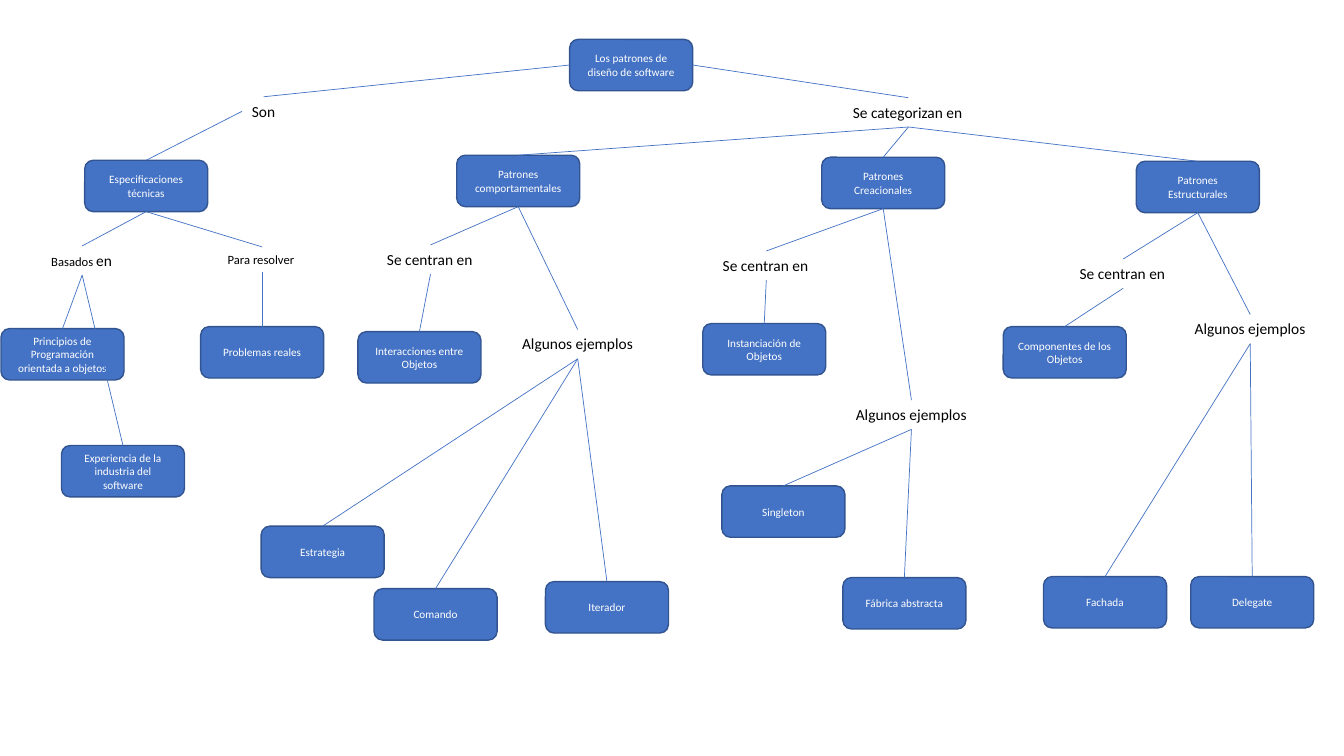
from lxml import etree
from pptx import Presentation
from pptx.dml.color import RGBColor
from pptx.enum.shapes import MSO_CONNECTOR, MSO_SHAPE
from pptx.enum.text import MSO_ANCHOR, MSO_AUTO_SIZE, PP_ALIGN
from pptx.oxml.ns import qn
from pptx.util import Inches, Pt

ROUNDED = MSO_SHAPE.ROUNDED_RECTANGLE
STRAIGHT = MSO_CONNECTOR.STRAIGHT
MIDDLE = MSO_ANCHOR.MIDDLE
CENTER = PP_ALIGN.CENTER
GROW = MSO_AUTO_SIZE.SHAPE_TO_FIT_TEXT
TOP, LEFT, BOTTOM, RIGHT = range(4)

FONT = "Calibri"
COLORS = {"concept": "4472C4", "border": "325491", "link": "4472C4",
          "concept_text": "FFFFFF", "phrase_text": "000000"}
CONCEPT_WIDTH, CONCEPT_HEIGHT = 1.22, 0.51
FOCUS_WIDTH, EXAMPLES_WIDTH = 1.06, 1.3


def color(name):
    """Return the palette colour with this name."""
    return RGBColor.from_string(COLORS[name])


def style_run(run, size, color_name):
    """Set the font, size and colour of a run."""
    run.font.name = FONT
    run.font.size = Pt(size)
    run.font.color.rgb = color(color_name)


def add_concept(slide, left, top, text):
    """Add a rounded concept box."""
    concept = slide.shapes.add_shape(ROUNDED, Inches(left), Inches(top),
                                     Inches(CONCEPT_WIDTH), Inches(CONCEPT_HEIGHT))
    concept.shadow.inherit = False
    concept.fill.solid()
    concept.fill.fore_color.rgb = color("concept")
    concept.line.color.rgb = color("border")
    concept.line.width = Pt(1)
    frame = concept.text_frame
    frame.text = text
    frame.word_wrap = True
    frame.vertical_anchor = MIDDLE
    frame.paragraphs[0].alignment = CENTER
    style_run(frame.paragraphs[0].runs[0], 8, "concept_text")
    return concept


def add_phrase(slide, left, top, width, *parts, height=0.29):
    """Add a linking phrase made of (text, size) parts."""
    phrase = slide.shapes.add_textbox(Inches(left), Inches(top), Inches(width), Inches(height))
    frame = phrase.text_frame
    frame.word_wrap = False
    frame.auto_size = GROW
    for text, size in parts:
        run = frame.paragraphs[0].add_run()
        run.text = text
        style_run(run, size, "phrase_text")
    return phrase


def link(slide, start, end, start_side=BOTTOM, end_side=TOP):
    """Join two parts of the map with a thin line."""
    line = slide.shapes.add_connector(STRAIGHT, 0, 0, 0, 0)
    line.begin_connect(start, start_side)
    line.end_connect(end, end_side)
    line.line.color.rgb = color("link")
    line.line.width = Pt(0.5)
    etree.SubElement(line._element.spPr, qn("a:effectLst"))


def draw_specifications(slide, left, top):
    """Draw the specifications branch from its head position and return the head."""
    head = add_concept(slide, left, top, "Especificaciones técnicas")
    based_on = add_phrase(slide, left - 0.43, top + 0.85, 0.81, ("Basados ", 9), ("en", 11))
    to_solve = add_phrase(slide, left + 1.32, top + 0.86, 0.88, ("Para resolver", 9), height=0.25)
    principles = add_concept(slide, left - 0.83, top + 1.67,
                             "Principios de Programación orientada a objetos")
    experience = add_concept(slide, left - 0.23, top + 2.83,
                             "Experiencia de la industria del software")
    problems = add_concept(slide, left + 1.15, top + 1.65, "Problemas reales")
    for start, end in ((head, based_on), (head, to_solve), (based_on, principles),
                       (based_on, experience), (to_solve, problems)):
        link(slide, start, end)
    return head


def draw_pattern(slide, left, top, title, focus_at, focus, examples_at, examples):
    """Draw a pattern branch, with offsets from its head, and return the head."""
    def place(offset):
        return left + offset[0], top + offset[1]

    head = add_concept(slide, left, top, title)
    focus_phrase = add_phrase(slide, *place(focus_at), FOCUS_WIDTH, ("Se centran en", 11))
    examples_phrase = add_phrase(slide, *place(examples_at), EXAMPLES_WIDTH,
                                 ("Algunos ejemplos", 11))
    link(slide, head, focus_phrase)
    link(slide, head, examples_phrase)
    focus_text, *focus_offset = focus
    link(slide, focus_phrase, add_concept(slide, *place(focus_offset), focus_text))
    for text, *offset in examples:
        link(slide, examples_phrase, add_concept(slide, *place(offset), text))
    return head


PATTERNS = [
    (4.53, 1.54, "Patrones comportamentales",
     (-0.79, 0.89), ("Interacciones entre Objetos", -0.98, 1.75),
     (0.55, 1.73), [("Estrategia", -1.94, 3.68), ("Comando", -0.82, 4.3),
                    ("Iterador", 0.88, 4.23)]),
    (8.15, 1.56, "Patrones Creacionales",
     (-1.08, 0.93), ("Instanciación de Objetos", -1.18, 1.65),
     (0.24, 2.41), [("Singleton", -0.99, 3.26), ("Fábrica abstracta", 0.21, 4.17)]),
    (11.27, 1.6, "Patrones Estructurales",
     (-0.66, 0.97), ("Componentes de los Objetos", -1.32, 1.64),
     (0.48, 1.52), [("Fachada", -0.92, 4.12), ("Delegate", 0.54, 4.12)]),
]


def draw_map(slide, left, top):
    """Draw the whole concept map, with the root at the given position."""
    root = add_concept(slide, left, top, "Los patrones de diseño de software")
    are = add_phrase(slide, left - 3.25, top + 0.57, 0.43, ("Son", 11))
    categories = add_phrase(slide, left + 2.71, top + 0.58, 1.3, ("Se categorizan en", 11))
    link(slide, root, are, LEFT)
    link(slide, root, categories, RIGHT)
    link(slide, are, draw_specifications(slide, left - 4.81, top + 1.2), LEFT)
    for pattern in PATTERNS:
        link(slide, categories, draw_pattern(slide, *pattern))


presentation = Presentation()
presentation.slide_width = Inches(13.33)
presentation.slide_height = Inches(7.5)
draw_map(presentation.slides.add_slide(presentation.slide_layouts[6]), 5.65, 0.39)
presentation.save("out.pptx")
